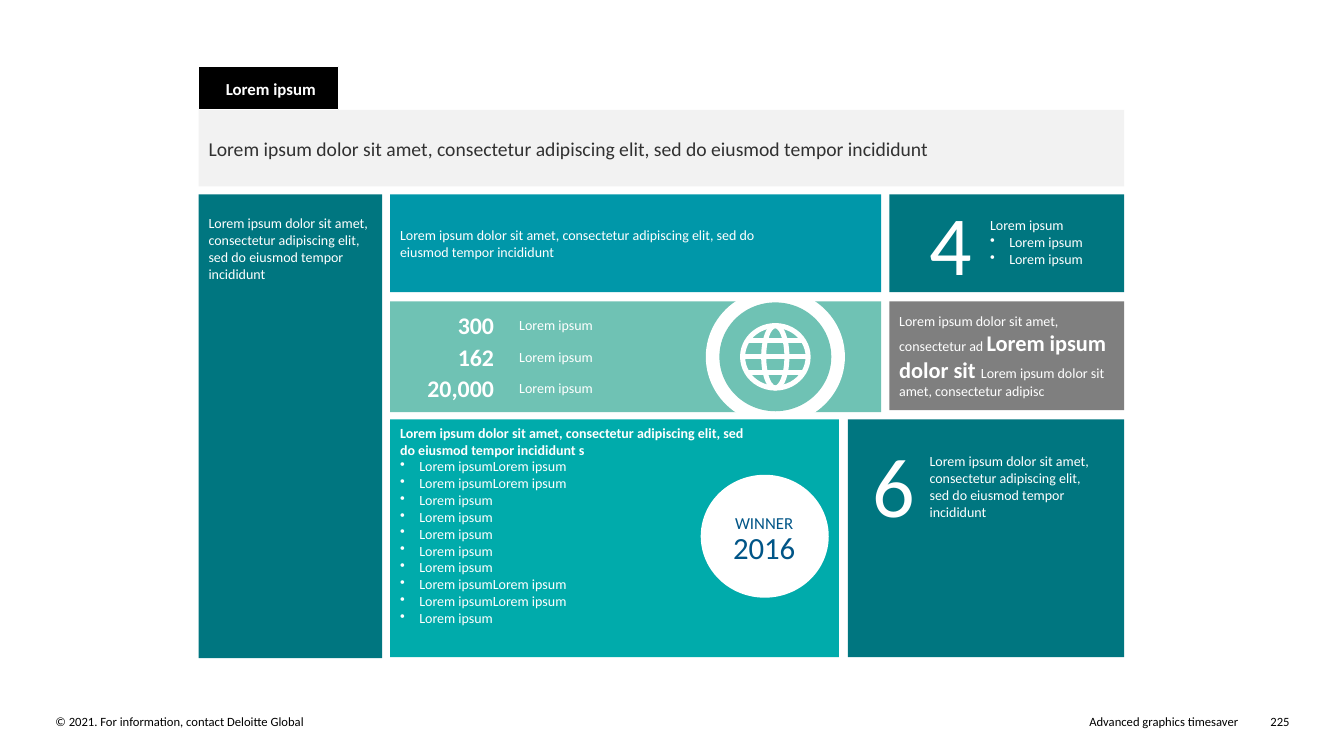
import math

import pptx
import pptx.dml.color
import pptx.enum.shapes
import pptx.enum.text
import pptx.oxml
import pptx.oxml.ns
import pptx.util

Inches = pptx.util.Inches
Pt = pptx.util.Pt
Shape = pptx.enum.shapes.MSO_SHAPE
Anchor = pptx.enum.text.MSO_ANCHOR
Align = pptx.enum.text.PP_ALIGN

COLORS = {
    "black": "000000", "white": "FFFFFF", "pale": "F2F2F2", "ink": "313131",
    "deep": "007680", "blue": "0097A9", "mint": "6FC2B4", "teal": "00ABAB",
    "gray": "7F7F7F", "navy": "005587",
}
WORDS = "Lorem ipsum"
SENTENCE = "Lorem ipsum dolor sit amet, consectetur adipiscing elit, sed do eiusmod tempor incididunt"
BULLET_INDENT = 0.19


def color(name):
    """Return the named palette colour."""
    return pptx.dml.color.RGBColor.from_string(COLORS[name])


def apply(target, values):
    """Set every attribute in values on target."""
    for name, value in values.items():
        setattr(target, name, value)


def add_bullet(paragraph):
    """Give a paragraph a hanging round bullet."""
    properties = paragraph._p.get_or_add_pPr()
    properties.set("marL", str(Inches(BULLET_INDENT)))
    properties.set("indent", str(-Inches(BULLET_INDENT)))
    bullet = pptx.oxml.parse_xml(f'<a:buChar {pptx.oxml.ns.nsdecls("a")} char="•"/>')
    properties.append(bullet)


def write(shape, runs, bullets=(), insets=(0, 0, 0, 0), anchor=Anchor.TOP,
          align=Align.LEFT, wrap=True, ink="white"):
    """Write a paragraph of (text, size, bold) runs, then bulleted lines."""
    left, top, right, bottom = (Inches(inset) for inset in insets)
    frame = shape.text_frame
    apply(frame, {"margin_left": left, "margin_top": top, "margin_right": right,
                  "margin_bottom": bottom, "vertical_anchor": anchor, "word_wrap": wrap})
    lines = [runs] + [[(text, 10, False)] for text in bullets]
    for index, line in enumerate(lines):
        paragraph = frame.add_paragraph() if index else frame.paragraphs[0]
        paragraph.alignment = align
        if index:
            add_bullet(paragraph)
        for text, size, bold in line:
            run = paragraph.add_run()
            run.text = text
            apply(run.font, {"name": "Calibri", "size": Pt(size), "bold": bold})
            run.font.color.rgb = color(ink)


def add_label(slide, box, text, size, bold=False, **format_values):
    """Add a text box without insets."""
    label = slide.shapes.add_textbox(*(Inches(length) for length in box))
    write(label, [(text, size, bold)], **format_values)


def add_panel(slide, box, fill, kind=Shape.RECTANGLE, line=None, weight=0.5):
    """Add a flat shape; without a fill only its outline shows."""
    panel = slide.shapes.add_shape(kind, *(Inches(length) for length in box))
    panel.shadow.inherit = False
    if fill:
        panel.fill.solid()
        panel.fill.fore_color.rgb = color(fill)
    else:
        panel.fill.background()
    if line:
        panel.line.color.rgb = color(line)
        panel.line.width = Pt(weight)
    else:
        panel.line.fill.background()
    return panel


def add_oval(slide, center, width, height, fill, **outline):
    """Add an ellipse around a centre point."""
    x, y = center
    box = (x - width / 2, y - height / 2, width, height)
    add_panel(slide, box, fill, Shape.OVAL, **outline)


def add_globe(slide, center):
    """Draw a globe in a ringed disc around a centre point."""
    x, y = center
    stroke = 3.6
    width, height = 0.65, 0.62
    add_oval(slide, center, 1.38, 1.34, "white")
    add_oval(slide, center, 1.11, 1.08, "mint")
    for meridian in (width, 0.23):
        add_oval(slide, center, meridian, height, None, line="white", weight=stroke)
    for offset in (-0.16, 0, 0.16):
        reach = width / 2 * math.sqrt(1 - (2 * offset / height) ** 2)
        parallel = slide.shapes.add_connector(
            pptx.enum.shapes.MSO_CONNECTOR.STRAIGHT, Inches(x - reach),
            Inches(y + offset), Inches(x + reach), Inches(y + offset))
        parallel.line.color.rgb = color("white")
        parallel.line.width = Pt(stroke)
        effects = pptx.oxml.parse_xml(f'<a:effectLst {pptx.oxml.ns.nsdecls("a")}/>')
        parallel._element.spPr.append(effects)


def add_header(slide, box):
    """Add the headline band with its black tab on top."""
    left, top, width, height = box
    tab_height = 0.43
    band = add_panel(slide, box, "pale")
    write(band, [(SENTENCE, 14, False)], insets=(0.1,) * 4, anchor=Anchor.MIDDLE, ink="ink")
    add_panel(slide, (left, top - tab_height, 1.39, tab_height), "black", line="white")
    add_label(slide, (left + 0.27, top - 0.31, 0.91, 0.2), WORDS, 12, True, wrap=False)


def add_figures(slide, box):
    """Add the band of three figures and the globe."""
    left, top, width, height = box
    add_panel(slide, box, "mint")
    add_globe(slide, (left + 3.82, top + height / 2))
    for row, figure in enumerate(("300", "162", "20,000")):
        row_top = top + 0.09 + 0.315 * row
        add_label(slide, (left + 0.36, row_top, 0.67, 0.29), figure, 17, True, align=Align.RIGHT)
        add_label(slide, (left + 1.28, row_top + 0.06, 0.74, 0.17), WORDS, 10, wrap=False)


def add_winner(slide, box):
    """Add the bulleted panel with its round award badge."""
    left, top, width, height = box
    double = WORDS * 2
    bullets = [double] * 2 + [WORDS] * 5 + [double] * 2 + [WORDS]
    panel = add_panel(slide, box, "teal")
    write(panel, [(SENTENCE + " s", 10, True)], bullets, insets=(0.1, 0.05, 0.8, 0.05))
    add_oval(slide, (left + 3.715, top + 1.16), 1.27, 1.22, "white")
    add_label(slide, (left + 3.42, top + 0.93, 0.58, 0.2), "WINNER", 12, wrap=False, ink="navy")
    add_label(slide, (left + 3.4, top + 1.09, 0.62, 0.37), "2016", 22, wrap=False, ink="navy")


def add_four(slide, box):
    """Add the panel of the large four and its bullets."""
    left, top, width, height = box
    panel = add_panel(slide, box, "deep")
    write(panel, [(WORDS, 10, False)], [WORDS] * 2, insets=(1, 0.22, 0.1, 0.05))
    add_label(slide, (left + 0.4, top - 0.03, 0.43, 1.01), "4", 60, wrap=False)


def add_six(slide, box):
    """Add the panel of the large six and its sentence."""
    left, top, width, height = box
    add_panel(slide, box, "deep")
    add_label(slide, (left + 0.24, top + 0.14, 0.43, 1.01), "6", 60, wrap=False)
    add_label(slide, (left + 0.81, top + 0.33, 1.6, 0.67), SENTENCE, 10)


def add_statements(slide, side_box, top_box, quote_box):
    """Add the three panels that hold only a statement."""
    plain = [(SENTENCE, 10, False)]
    quote = [("Lorem ipsum dolor sit amet, consectetur ad ", 10, False),
             ("Lorem ipsum dolor sit ", 16, True),
             ("Lorem ipsum dolor sit amet, consectetur adipisc", 10, False)]
    for box, fill, runs, insets, anchor in (
            (side_box, "deep", plain, (0.1, 0.2, 0.1, 0.1), Anchor.TOP),
            (top_box, "blue", plain, (0.1, 0.05, 1.2, 0.05), Anchor.MIDDLE),
            (quote_box, "gray", quote, (0.1, 0.05, 0.1, 0.05), Anchor.MIDDLE)):
        write(add_panel(slide, box, fill), runs, insets=insets, anchor=anchor)


def add_footer(slide, top):
    """Add the copyright line, the document name and the page number."""
    for left, width, text, align in (
            (0.55, 5.86, "© 2021. For information, contact Deloitte Global", Align.LEFT),
            (6.93, 5.35, "Advanced graphics timesaver", Align.RIGHT),
            (12.45, 0.34, "225", Align.RIGHT)):
        add_label(slide, (left, top, width, 0.15), text, 9, align=align, ink="black")


def main():
    """Build the slide and save it."""
    presentation = pptx.Presentation()
    apply(presentation, {"slide_width": Inches(13.33), "slide_height": Inches(7.5)})
    slide = presentation.slides.add_slide(presentation.slide_layouts[6])
    left, middle, right = 1.97, 3.87, 8.82
    first, second, third = 1.93, 2.99, 4.16
    add_figures(slide, (middle, second, 4.87, 1.1))
    add_statements(slide, (left, first, 1.82, 4.6), (middle, first, 4.87, 0.97),
                   (right, second, 2.33, 1.08))
    add_winner(slide, (middle, third, 4.45, 2.36))
    add_four(slide, (right, first, 2.33, 0.97))
    add_six(slide, (8.41, third, 2.74, 2.36))
    add_header(slide, (left, 1.09, 9.18, 0.76))
    add_footer(slide, 7.08)
    presentation.save("out.pptx")


if __name__ == "__main__":
    main()
